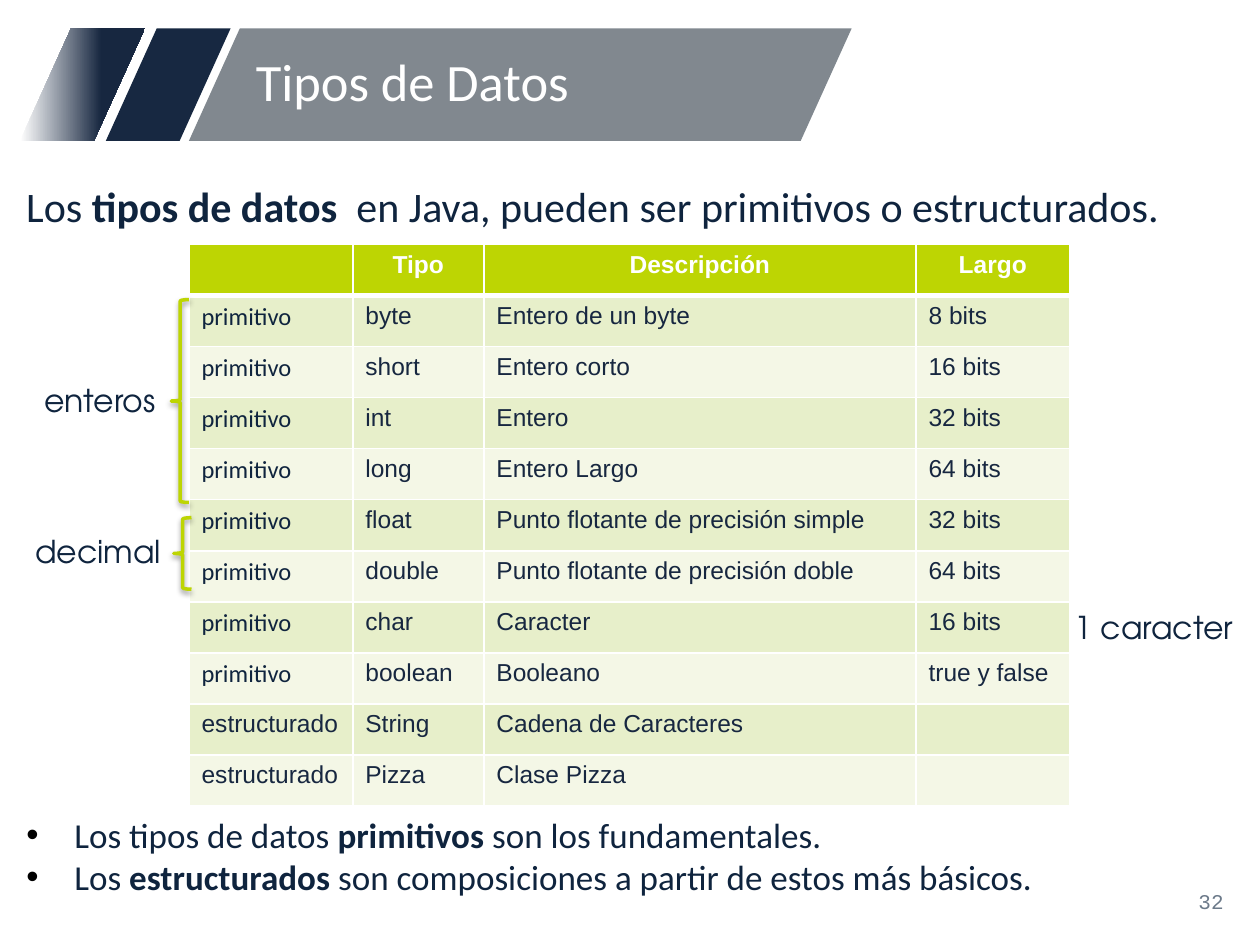
from dataclasses import dataclass

from lxml import etree
from pptx import Presentation
from pptx import util as u
from pptx.dml.color import RGBColor
from pptx.enum import shapes, text
from pptx.oxml import parse_xml
from pptx.oxml.ns import nsdecls, qn

WIDTH, HEIGHT = 10, 7.5
WHITE = RGBColor(0xFF, 0xFF, 0xFF)
BLACK = RGBColor(0, 0, 0)
NAVY = RGBColor(0x17, 0x28, 0x41)
INK = RGBColor(0x0F, 0x24, 0x3E)
CELL_INK = RGBColor(0x17, 0x27, 0x40)
GRAY = RGBColor(0x81, 0x88, 0x8F)
NUMBER_GRAY = RGBColor(0x6C, 0x7A, 0x8A)
LIME = RGBColor(0xBD, 0xD5, 0x03)
BANDS = (RGBColor(0xE7, 0xEF, 0xCA), RGBColor(0xF4, 0xF7, 0xE6))
LEFT, CENTER = text.PP_ALIGN.LEFT, text.PP_ALIGN.CENTER
RIGHT, JUSTIFY = text.PP_ALIGN.RIGHT, text.PP_ALIGN.JUSTIFY
TOP, MIDDLE = text.MSO_ANCHOR.TOP, text.MSO_ANCHOR.MIDDLE

TABLE_LEFT, TABLE_TOP = 1.5, 1.94
ROW_HEIGHT = 4.46 / 11
COLUMNS = (1.3, 1.04, 3.43, 1.22)
ROWS = (
    ("", "Tipo", "Descripción", "Largo"),
    ("primitivo", "byte", "Entero de un byte", "8 bits"),
    ("primitivo", "short", "Entero corto", "16 bits"),
    ("primitivo", "int", "Entero", "32 bits"),
    ("primitivo", "long", "Entero Largo", "64 bits"),
    ("primitivo", "float", "Punto flotante de precisión simple", "32 bits"),
    ("primitivo", "double", "Punto flotante de precisión doble", "64 bits"),
    ("primitivo", "char", "Caracter", "16 bits"),
    ("primitivo", "boolean", "Booleano", "true y false"),
    ("estructurado", "String", "Cadena de Caracteres", ""),
    ("estructurado", "Pizza", "Clase Pizza", ""),
)


@dataclass(frozen=True)
class Area:
    left: float
    top: float
    width: float
    height: float

    def emu(self) -> tuple:
        return tuple(u.Inches(v) for v in (self.left, self.top, self.width, self.height))


@dataclass(frozen=True)
class Style:
    font: str
    size: float
    color: RGBColor
    bold: bool = False


@dataclass(frozen=True)
class Brace:
    """Group mark left of the table, measured in table rows."""
    left: float
    first_row: float
    row_count: float


@dataclass(frozen=True)
class Label:
    wording: str
    left: float
    width: float
    row: float


HEADER_BAND = (0.03 * HEIGHT, 0.119 * HEIGHT)
INTRO = Style("Calibri", 24, INK)
BULLET = Style("Calibri", 20, INK)
LABEL = Style("TeX Gyre Adventor", 18, INK)
BRACES = (Brace(1.36, 1.08, 3.97), Brace(1.38, 5.35, 1.4))
LABELS = (
    Label("enteros", 0.35, 0.95, 3.04),
    Label("decimal", 0.28, 1.05, 6),
    Label("1 caracter", 8.53, 1.35, 7.48),
)
BULLETS = (
    (("Los tipos de datos ", False), ("primitivos", True), (" son los fundamentales.", False)),
    (("Los ", False), ("estructurados ", True),
     ("son composiciones a partir de estos más básicos.", False)),
)


def row_top(row: float) -> float:
    return TABLE_TOP + row * ROW_HEIGHT


def add_span(para, wording: str, style: Style, bold: bool = False) -> None:
    span = para.add_run()
    span.text = wording
    span.font.name, span.font.size = style.font, u.Pt(style.size)
    span.font.color.rgb = style.color
    span.font.bold = bold or style.bold


def set_frame(frame, anchor, inset: float = 0.1) -> None:
    frame.word_wrap = True
    frame.auto_size = text.MSO_AUTO_SIZE.NONE
    frame.vertical_anchor = anchor
    frame.margin_left = frame.margin_right = u.Inches(inset)
    frame.margin_top = frame.margin_bottom = u.Inches(inset / 2)


def add_text(page, area: Area, spans, style: Style, align=LEFT, anchor=MIDDLE, inset=0.1) -> None:
    box = page.shapes.add_textbox(*area.emu())
    set_frame(box.text_frame, anchor, inset)
    para = box.text_frame.paragraphs[0]
    para.alignment = align
    for wording, bold in spans:
        add_span(para, wording, style, bold)


def add_slant(page, left: float, width: float, color: RGBColor):
    top, height = HEADER_BAND
    slant = page.shapes.add_shape(shapes.MSO_SHAPE.PARALLELOGRAM,
                                  *Area(left, top, width, height).emu())
    slant.adjustments[0] = 0.453
    slant.shadow.inherit = False
    slant.line.fill.background()
    slant.fill.solid()
    slant.fill.fore_color.rgb = color
    return slant


def fade_from_white(slant) -> None:
    slant.fill.gradient()
    slant.fill.gradient_angle = 0
    for stop, color, position in zip(slant.fill.gradient_stops, (WHITE, CELL_INK), (0, 0.65)):
        stop.color.rgb, stop.position = color, position


def add_brace(page, brace: Brace) -> None:
    area = Area(brace.left, row_top(brace.first_row), 0.14, brace.row_count * ROW_HEIGHT)
    mark = page.shapes.add_shape(shapes.MSO_SHAPE.LEFT_BRACE, *area.emu())
    mark.fill.background()
    mark.line.color.rgb, mark.line.width = LIME, u.Pt(2)
    mark.element.spPr.append(parse_xml(
        f'<a:effectLst {nsdecls("a")}><a:outerShdw blurRad="40000" dist="20000" dir="5400000" '
        f'rotWithShape="0"><a:srgbClr val="{BLACK}"><a:alpha val="38000"/></a:srgbClr>'
        '</a:outerShdw></a:effectLst>'))


def set_borders(cell, top: float, bottom: float) -> None:
    widths = {"lnL": 1, "lnR": 1, "lnT": top, "lnB": bottom}
    for place, (tag, width) in enumerate(widths.items()):
        cell._tc.get_or_add_tcPr().insert(place, parse_xml(
            f'<a:{tag} {nsdecls("a")} w="{u.Pt(width)}"><a:solidFill>'
            f'<a:srgbClr val="{WHITE}"/></a:solidFill></a:{tag}>'))


def cell_style(row: int, wording: str) -> Style:
    if row == 0:
        return Style("Arial", 14, WHITE, bold=True)
    if wording == "primitivo":
        return Style("Calibri", 14, INK)
    return Style("Arial", 14, CELL_INK)


def add_type_table(page) -> None:
    area = Area(TABLE_LEFT, TABLE_TOP, sum(COLUMNS), ROW_HEIGHT * len(ROWS))
    table = page.shapes.add_table(len(ROWS), len(COLUMNS), *area.emu()).table
    for column, width in zip(table.columns, COLUMNS):
        column.width = u.Inches(width)
    for row, wordings in enumerate(ROWS):
        for column, wording in enumerate(wordings):
            cell = table.cell(row, column)
            cell.fill.solid()
            cell.fill.fore_color.rgb = BANDS[(row - 1) % 2] if row else LIME
            set_borders(cell, 3 if row == 1 else 1, 1 if row else 3)
            para = cell.text_frame.paragraphs[0]
            para.alignment = LEFT if row else CENTER
            if wording:
                add_span(para, wording, cell_style(row, wording))


def place(holder, area: Area, anchor) -> None:
    """Move a placeholder and bring it to the front."""
    holder.left, holder.top, holder.width, holder.height = area.emu()
    set_frame(holder.text_frame, anchor)
    holder.element.getparent().append(holder.element)


def fill_title(holder) -> None:
    top, height = HEADER_BAND
    place(holder, Area(1.93, top, 4.69, height), MIDDLE)
    para = holder.text_frame.paragraphs[0]
    para.alignment, para.line_spacing = LEFT, 0.9
    add_span(para, "Tipos de Datos", Style("Calibri", 30, WHITE))


def fill_list(holder) -> None:
    place(holder, Area(0.11, 6.41, 9.85, 0.8), TOP)
    for index, spans in enumerate(BULLETS):
        frame = holder.text_frame
        para = frame.add_paragraph() if index else frame.paragraphs[0]
        properties = para._p.get_or_add_pPr()
        properties.set("marL", str(u.Inches(0.38)))
        properties.set("indent", str(-u.Inches(0.38)))
        color = etree.SubElement(properties, qn("a:buClr"))
        etree.SubElement(color, qn("a:srgbClr"), val=str(BLACK))
        etree.SubElement(properties, qn("a:buFont"), typeface="Arial")
        etree.SubElement(properties, qn("a:buChar"), char="•")
        para.alignment, para.space_before = JUSTIFY, u.Pt(0)
        for wording, bold in spans:
            add_span(para, wording, BULLET, bold)


def main() -> None:
    deck = Presentation()
    deck.slide_width, deck.slide_height = u.Inches(WIDTH), u.Inches(HEIGHT)
    page = deck.slides.add_slide(deck.slide_layouts[1])
    add_slant(page, 0.84, 0.99, NAVY)
    fade_from_white(add_slant(page, 0.16, 0.99, NAVY))
    add_slant(page, 1.5, 5.26, GRAY)
    fill_title(page.shapes.title)
    intro = (("Los ", False), ("tipos de datos  ", True),
             ("en Java, pueden ser primitivos o estructurados.", False))
    add_text(page, Area(0.11, 1.38, 9.85, 0.52), intro, INTRO, JUSTIFY, TOP)
    add_type_table(page)
    fill_list(page.placeholders[1])
    for brace in BRACES:
        add_brace(page, brace)
    for label in LABELS:
        area = Area(label.left, row_top(label.row) - 0.18, label.width, 0.36)
        add_text(page, area, ((label.wording, False),), LABEL, inset=0)
    add_text(page, Area(7.56, 6.95, 2.25, 0.4), (("32", False),),
             Style("Courier New", 12, NUMBER_GRAY), RIGHT)
    deck.save("out.pptx")


if __name__ == "__main__":
    main()
